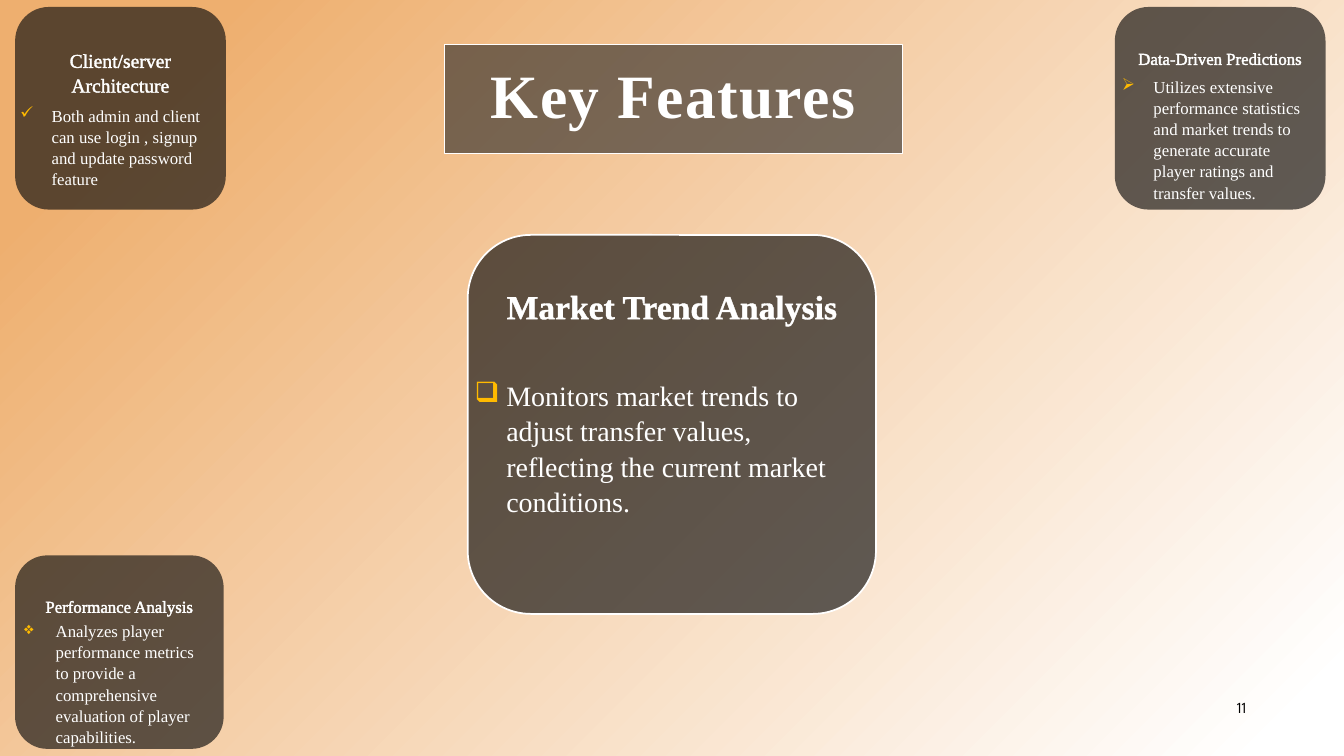
from lxml import etree
from pptx import Presentation
from pptx.dml.color import RGBColor
from pptx.enum.shapes import MSO_SHAPE
from pptx.enum.text import MSO_ANCHOR, PP_ALIGN
from pptx.oxml import parse_xml
from pptx.oxml.ns import nsdecls, qn
from pptx.util import Pt

RECTANGLE, ROUNDED = MSO_SHAPE.RECTANGLE, MSO_SHAPE.ROUNDED_RECTANGLE
TOP, MIDDLE = MSO_ANCHOR.TOP, MSO_ANCHOR.MIDDLE
LEFT, CENTER, RIGHT = PP_ALIGN.LEFT, PP_ALIGN.CENTER, PP_ALIGN.RIGHT
WHITE = RGBColor(0xFF, 0xFF, 0xFF)
BLACK = RGBColor(0, 0, 0)
ORANGE = RGBColor(0xEE, 0xAF, 0x6F)
GOLD = RGBColor(0xFF, 0xBA, 0x00)
CHARCOAL = RGBColor(0x26, 0x26, 0x26)
NEAR_BLACK = RGBColor(0x0D, 0x0D, 0x0D)
SERIF = "Times New Roman"

deck = Presentation()
deck.slide_width, deck.slide_height = Pt(960), Pt(540)
page = deck.slides.add_slide(deck.slide_layouts[6])

backdrop = page.background.fill
backdrop.gradient()
for stop, (position, color) in zip(backdrop.gradient_stops, [(0.04, WHITE), (0.89, ORANGE)]):
    stop.position = position
    stop.color.rgb = color
linear = next(page.element.iter(qn("a:lin")))
linear.getparent().replace(linear, parse_xml(
    f'<a:path {nsdecls("a")} path="circle"><a:fillToRect l="100000" t="100000"/></a:path>'))


def add_panel(kind, place, color, opacity, line_width):
    panel = page.shapes.add_shape(kind, *map(Pt, place))
    panel.shadow.inherit = False
    panel.fill.solid()
    panel.fill.fore_color.rgb = color
    tint = next(panel.element.spPr.iter(qn("a:srgbClr")))
    etree.SubElement(tint, qn("a:alpha")).set("val", str(opacity * 1000))
    if line_width:
        panel.line.color.rgb = WHITE
        panel.line.width = Pt(line_width)
    else:
        panel.line.fill.background()
    return panel


def write(box, text, size, align, anchor=TOP, insets=None, bullet=None,
          name=SERIF, color=WHITE, bold=False, spacing=1.05):
    frame = box.text_frame
    frame.word_wrap = True
    frame.vertical_anchor = anchor
    if insets:
        frame.margin_left = frame.margin_right = 0
        frame.margin_top, frame.margin_bottom = map(Pt, insets)
    para = frame.paragraphs[0]
    para.alignment = align
    para.line_spacing = spacing
    if bullet:
        properties = para._p.get_or_add_pPr()
        properties.set("marL", str(Pt(22.5)))
        properties.set("indent", str(-Pt(22.5)))
        tint = etree.SubElement(properties, qn("a:buClr"))
        etree.SubElement(tint, qn("a:srgbClr")).set("val", str(GOLD))
        etree.SubElement(properties, qn("a:buChar")).set("char", bullet)
    span = para.add_run()
    span.text = text
    font = para.font
    font.name, font.size, font.bold = name, Pt(size), bold
    font.color.rgb = color
    return span


title = add_panel(RECTANGLE, (317.5, 31.7, 326.9, 77.8), CHARCOAL, 60, 0.75)
title_span = write(title, "Key Features", 44, CENTER, MIDDLE, bold=True, spacing=0.9)
title_span._r.get_or_add_rPr().set("spc", "100")

features = [
    ((10.8, 5, 150.5, 144.7), "Client/server Architecture", 14, False, 0,
     (14.4, 71.3, 133.9, 72), "✓", 12,
     "Both admin and client can use login , signup and update password feature"),
    ((796.3, 5, 150.5, 144.7), "Data-Driven Predictions", 12, False, 0,
     (801.4, 50.4, 138.2, 92.9), "➢", 12,
     "Utilizes extensive performance statistics and market trends to generate "
     "accurate player ratings and transfer values."),
    ((10.8, 396.7, 149, 138.2), "Performance Analysis", 12, False, 0,
     (17.3, 439.2, 127.4, 95.8), "❖", 12,
     "Analyzes player performance metrics to provide a comprehensive "
     "evaluation of player capabilities."),
    ((334.1, 167.8, 291.6, 270.7), "Market Trend Analysis", 24, True, 1.25,
     (339.1, 265.7, 265.7, 147.6), "❑", 20,
     "Monitors market trends to adjust transfer values, reflecting the "
     "current market conditions."),
]
for card_place, heading, heading_size, bold, border, body_place, bullet, body_size, body in features:
    card = add_panel(ROUNDED, card_place, NEAR_BLACK, 65, border)
    heading_span = write(card, heading, heading_size, CENTER, insets=(21.6, 0), bold=bold)
    heading_span._r.get_or_add_rPr().append(parse_xml(
        f'<a:ln {nsdecls("a")} w="9525"><a:solidFill><a:srgbClr val="{WHITE}"/></a:solidFill></a:ln>'))
    body_box = page.shapes.add_textbox(*map(Pt, body_place))
    write(body_box, body, body_size, LEFT, insets=(3.6, 3.6), bullet=bullet)

number_box = page.shapes.add_textbox(Pt(848.2), Pt(495.4), Pt(49), Pt(28.8))
write(number_box, "11", 11, RIGHT, name="League Spartan", color=BLACK, spacing=1.0)

deck.save("out.pptx")
